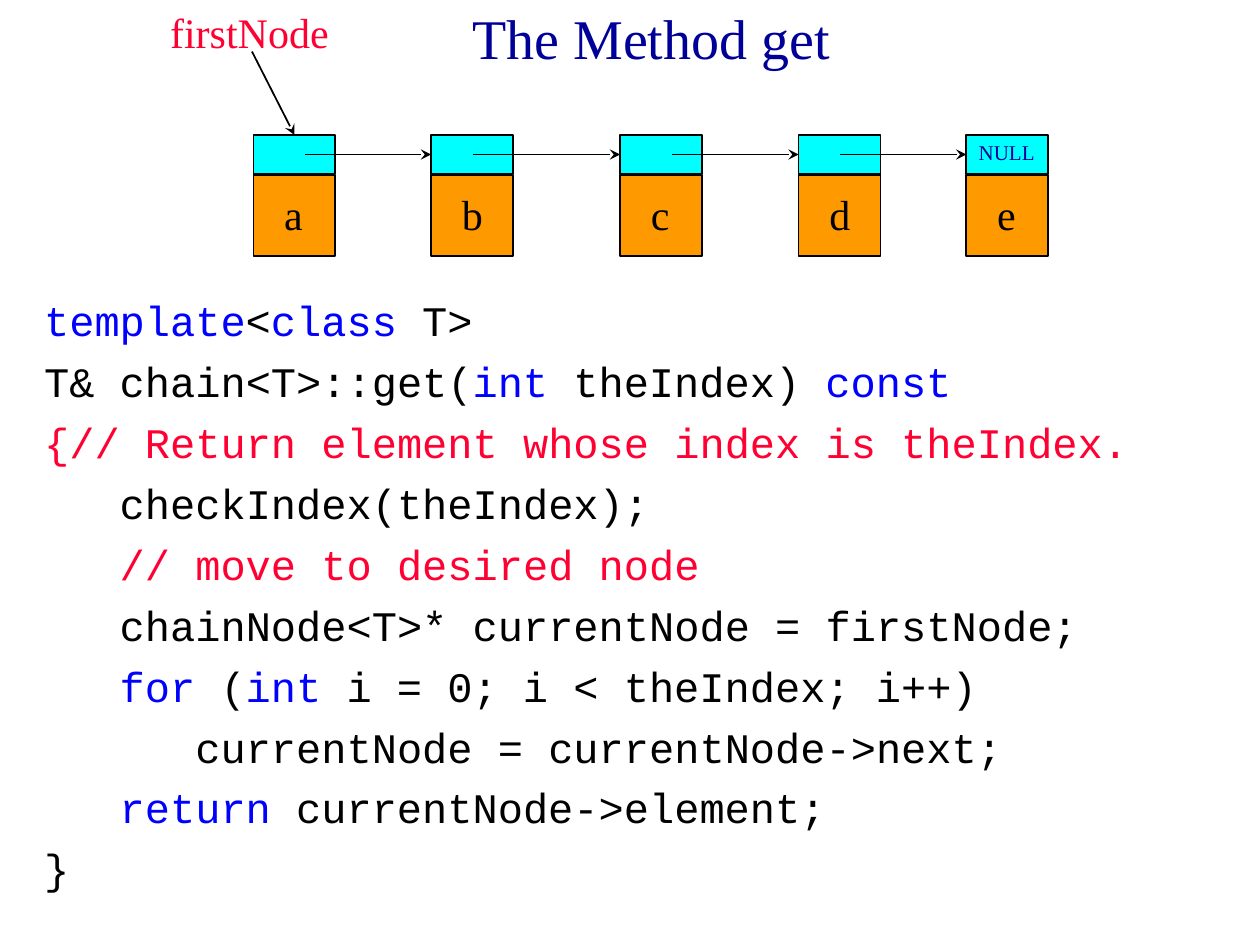
from lxml import etree
from pptx import Presentation
from pptx.dml.color import RGBColor
from pptx.enum.shapes import MSO_CONNECTOR, MSO_SHAPE
from pptx.enum.text import MSO_ANCHOR, PP_ALIGN
from pptx.oxml.ns import qn
from pptx.util import Cm, Pt

RECT = MSO_SHAPE.RECTANGLE
LINE = MSO_CONNECTOR.STRAIGHT
LEFT, CENTER = PP_ALIGN.LEFT, PP_ALIGN.CENTER
TOP, MID = MSO_ANCHOR.TOP, MSO_ANCHOR.MIDDLE
SERIF, MONO = "Times New Roman", "Courier New"
BLACK, NAVY, BLUE, RED = "000000", "000099", "0000FF", "FF0033"
CYAN, AMBER = "00FFFF", "FF9900"

CELL, LINK, DATA = 1.65, 0.79, 1.63
NODES = [("a", 5.11, 1.04), ("b", 8.69, 0.84), ("c", 12.5, 1.04),
         ("d", 16.1, 0.84), ("e", 19.48, 0)]
CODE = [
    [("template", BLUE), ("<", BLACK), ("class ", BLUE), ("T>", BLACK)],
    [("T& chain<T>::get(", BLACK), ("int", BLUE), (" theIndex) ", BLACK),
     ("const", BLUE)],
    [("{// Return element whose index is theIndex.", RED)],
    [("   checkIndex(theIndex);", BLACK)],
    [("   ", BLACK), ("// move to desired node", RED)],
    [("   chainNode<T>* currentNode = firstNode;", BLACK)],
    [("   ", BLACK), ("for", BLUE), (" (", BLACK), ("int", BLUE),
     (" i = 0; i < theIndex; i++)", BLACK)],
    [("      currentNode = currentNode->next;", BLACK)],
    [("   ", BLACK), ("return ", BLUE), ("currentNode->element;", BLACK)],
    [("}", BLACK)],
]


def color(code):
    """Turn a hex string into a colour."""
    return RGBColor.from_string(code)


def text(slide, box, lines, size, font=SERIF, align=LEFT, anchor=TOP, wrap=True):
    """Add a text box of coloured runs and return its frame."""
    frame = slide.shapes.add_textbox(*map(Cm, box)).text_frame
    frame.word_wrap = wrap
    frame.vertical_anchor = anchor
    for i, runs in enumerate(lines):
        para = frame.add_paragraph() if i else frame.paragraphs[0]
        para.alignment = align
        para.line_spacing = Pt(size * 1.2)
        for words, tint in runs:
            run = para.add_run()
            run.text = words
            run.font.name = font
            run.font.size = Pt(size)
            run.font.color.rgb = color(tint)
    return frame


def cell(slide, box, fill):
    """Add one outlined rectangle."""
    shape = slide.shapes.add_shape(RECT, *map(Cm, box))
    shape.shadow.inherit = False
    shape.fill.solid()
    shape.fill.fore_color.rgb = color(fill)
    shape.line.color.rgb = color(BLACK)
    shape.line.width = Pt(1)
    return shape


def arrow(slide, x, y, goal, side):
    """Draw a stealth arrow from a point to one side of a cell."""
    line = slide.shapes.add_connector(LINE, Cm(x), Cm(y), Cm(x), Cm(y))
    line.end_connect(goal, side)
    line.line.color.rgb = color(BLACK)
    line.line.width = Pt(1)
    etree.SubElement(line.line._get_or_add_ln(), qn("a:tailEnd"), type="stealth")
    etree.SubElement(line._element.spPr, qn("a:effectLst"))


def node(slide, x, y, name):
    """Draw a chain node and return its link cell."""
    cell(slide, (x, y + LINK + 0.02, CELL, DATA), AMBER)
    link = cell(slide, (x, y, CELL, LINK), CYAN)
    text(slide, (x + 0.37, y + 0.96, 0.9, 1.27), [[(name, BLACK)]], 24, wrap=False)
    return link


def chain(slide, x, y):
    """Draw the linked nodes with the pointer to the first."""
    links = [node(slide, x + left, y, name) for name, left, _ in NODES]
    for (_, left, start), goal in zip(NODES, links[1:]):
        arrow(slide, x + left + start, y + LINK / 2, goal, 1)
    last = NODES[-1][1]
    text(slide, (x + last, y - 0.03, 1.7, 0.76), [[("NULL", NAVY)]], 12)
    text(slide, (x + 3.18, y - 2.72, 4.65, 1.27), [[("firstNode", RED)]], 24)
    arrow(slide, x + 5.08, y - 1.68, links[0], 0)


def title(slide, box):
    """Place the heading."""
    text(slide, box, [[("The Method get", NAVY)]], 32, align=CENTER, anchor=MID)


def code(slide, box):
    """Place the listing with hanging indents."""
    frame = text(slide, box, CODE, 24, MONO)
    frame.margin_top = Cm(0.22)
    for i, para in enumerate(frame.paragraphs):
        props = para._p.get_or_add_pPr()
        props.set("marL", str(Cm(0.95)))
        props.set("indent", str(-Cm(0.95)))
        if i:
            para.space_before = Pt(6)


def main():
    """Build and save the slide."""
    deck = Presentation()
    deck.slide_width, deck.slide_height = Cm(25.4), Cm(19.05)
    slide = deck.slides.add_slide(deck.slide_layouts[6])
    title(slide, (2.33, 0, 21.6, 1.48))
    code(slide, (0.64, 5.72, 23.7, 4.88))
    chain(slide, 0, 2.72)
    deck.save("out.pptx")


if __name__ == "__main__":
    main()
